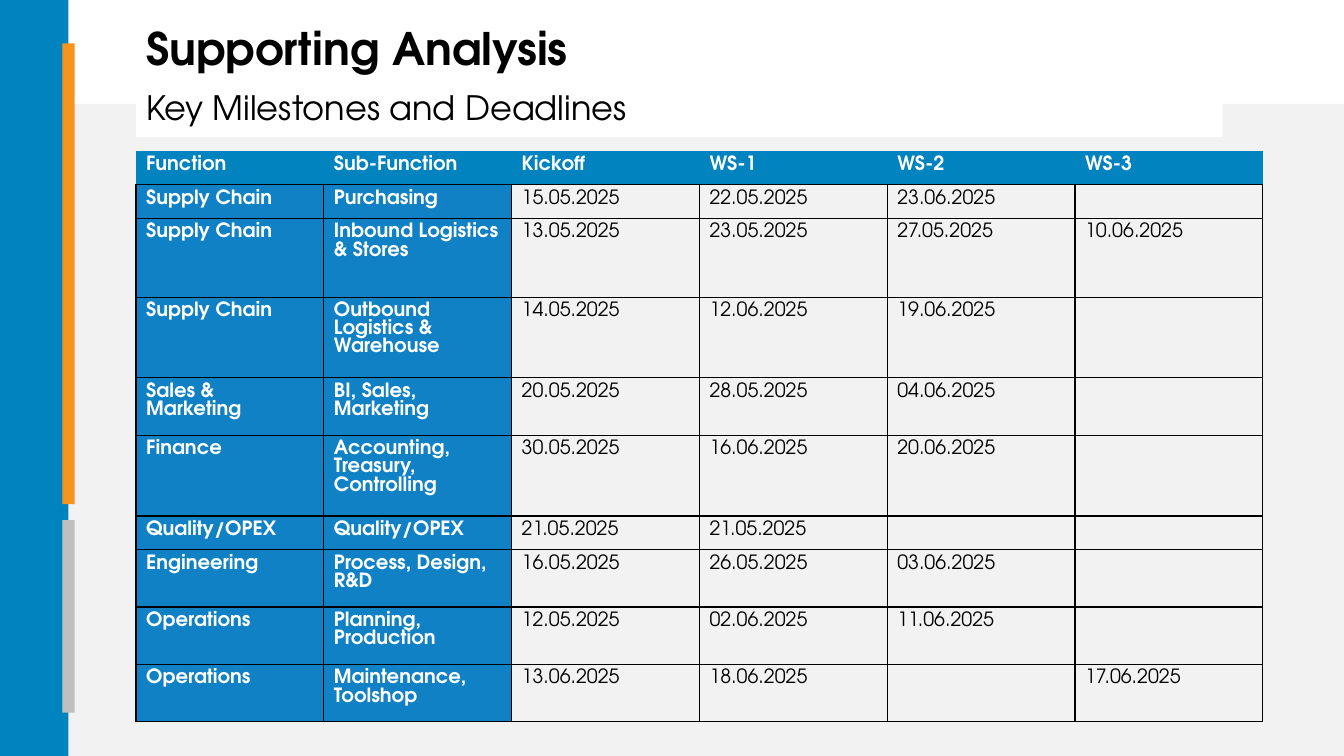
from pptx import Presentation
from pptx.dml.color import RGBColor
from pptx.enum.shapes import MSO_SHAPE
from pptx.enum.text import MSO_ANCHOR, PP_ALIGN
from pptx.oxml import parse_xml
from pptx.oxml.ns import nsdecls
from pptx.util import Pt

RECTANGLE = MSO_SHAPE.RECTANGLE
MIDDLE = MSO_ANCHOR.MIDDLE
LEFT = PP_ALIGN.LEFT

FONT = "TeX Gyre Adventor"
BLACK, WHITE, PALE, GREY = "000000", "FFFFFF", "F2F2F2", "BFBFBF"
BLUE, LABEL_BLUE, ORANGE = "0083BF", "1081C4", "F7941E"

CONTENT_LEFT = 97.2
LABEL_COLUMNS = 2
COLUMN_WIDTH = 134.16
ONE_LINE, TWO_LINES, THREE_LINES = 23.8, 41, 57.6

HEADER = ["Function", "Sub-Function", "Kickoff", "WS-1", "WS-2", "WS-3"]
MILESTONES = [
    (ONE_LINE, ["Supply Chain", "Purchasing", "15.05.2025", "22.05.2025", "23.06.2025", ""]),
    (56.2, ["Supply Chain", "Inbound Logistics & Stores",
            "13.05.2025", "23.05.2025", "27.05.2025", "10.06.2025"]),
    (THREE_LINES, ["Supply Chain", "Outbound Logistics & Warehouse",
                   "14.05.2025", "12.06.2025", "19.06.2025", ""]),
    (TWO_LINES, ["Sales & Marketing", "BI, Sales, Marketing",
                 "20.05.2025", "28.05.2025", "04.06.2025", ""]),
    (THREE_LINES, ["Finance", "Accounting, Treasury, Controlling",
                   "30.05.2025", "16.06.2025", "20.06.2025", ""]),
    (ONE_LINE, ["Quality/OPEX", "Quality/OPEX", "21.05.2025", "21.05.2025", "", ""]),
    (TWO_LINES, ["Engineering", "Process, Design, R&D",
                 "16.05.2025", "26.05.2025", "03.06.2025", ""]),
    (TWO_LINES, ["Operations", "Planning, Production",
                 "12.05.2025", "02.06.2025", "11.06.2025", ""]),
    (TWO_LINES, ["Operations", "Maintenance, Toolshop",
                 "13.06.2025", "18.06.2025", "", "17.06.2025"]),
]


def color(hex_string):
    return RGBColor.from_string(hex_string)


class SlideBuilder:
    def __init__(self, slide, font_name):
        self.slide = slide
        self.font_name = font_name

    def style(self, paragraph, size, font_color, bold=False):
        paragraph.alignment = LEFT
        font = paragraph.font
        font.name = self.font_name
        font.size = Pt(size)
        font.bold = bold
        font.color.rgb = color(font_color)

    def rectangle(self, left, top, width, height, fill):
        shape = self.slide.shapes.add_shape(RECTANGLE, Pt(left), Pt(top), Pt(width), Pt(height))
        shape.shadow.inherit = False
        shape.fill.solid()
        shape.fill.fore_color.rgb = color(fill)
        shape.line.fill.background()
        return shape

    def heading(self, shape, text, size, bold=False):
        """Write a single left-aligned line into a shape or text box."""
        frame = shape.text_frame
        frame.word_wrap = True
        frame.vertical_anchor = MIDDLE
        paragraph = frame.paragraphs[0]
        paragraph.text = text
        paragraph.line_spacing = 0.9
        self.style(paragraph, size, BLACK, bold)

    def text_box(self, left, top, width, height):
        return self.slide.shapes.add_textbox(Pt(left), Pt(top), Pt(width), Pt(height))

    def borders(self, cell, sides):
        """Set cell borders from (side, color, width) entries in the order L, R, T, B."""
        properties = cell._tc.get_or_add_tcPr()
        for position, (side, line_color, width) in enumerate(sides):
            properties.insert(position, parse_xml(
                f'<a:ln{side} {nsdecls("a")} w="{Pt(width)}"><a:solidFill>'
                f'<a:srgbClr val="{line_color}"/></a:solidFill></a:ln{side}>'))

    def cell(self, cell, text, fill, header):
        paragraph = cell.text_frame.paragraphs[0]
        paragraph.text = text
        self.style(paragraph, 14, WHITE if fill else BLACK, bold=bool(fill))
        if fill:
            cell.fill.solid()
            cell.fill.fore_color.rgb = color(fill)
        else:
            cell.fill.background()
        edge = (BLUE, 0.5) if header else (BLACK, 1)
        self.borders(cell, [("L", *edge), ("R", *edge), ("T", *edge), ("B", BLACK, 1)])

    def table(self, left, top, column_width, header, body):
        rows = [(ONE_LINE, header), *body]
        width = column_width * len(header)
        height = sum(row_height for row_height, _ in rows)
        table = self.slide.shapes.add_table(
            len(rows), len(header), Pt(left), Pt(top), Pt(width), Pt(height)).table
        table.horz_banding = False
        for column in table.columns:
            column.width = Pt(column_width)
        for row_index, (row_height, texts) in enumerate(rows):
            table.rows[row_index].height = Pt(row_height)
            for column_index, text in enumerate(texts):
                is_header = row_index == 0
                label_fill = LABEL_BLUE if column_index < LABEL_COLUMNS else None
                self.cell(table.cell(row_index, column_index), text,
                          BLUE if is_header else label_fill, is_header)


def main():
    presentation = Presentation()
    presentation.slide_width = Pt(960)
    presentation.slide_height = Pt(540)
    slide = presentation.slides.add_slide(presentation.slide_layouts[6])
    builder = SlideBuilder(slide, FONT)

    builder.rectangle(0, 74.2, 960, 465.8, PALE)
    builder.rectangle(0, 0, 48.8, 540, BLUE)
    builder.rectangle(44.5, 31, 8.8, 329.2, ORANGE)
    builder.rectangle(44.5, 371.5, 8.8, 137.5, GREY)

    title = builder.text_box(CONTENT_LEFT, 15.1, 776.2, 43.2)
    builder.heading(title, "Supporting Analysis", 32, bold=True)
    subtitle = builder.rectangle(CONTENT_LEFT, 58.3, 776.2, 39.6, WHITE)
    builder.heading(subtitle, "Key Milestones and Deadlines", 24)

    builder.table(CONTENT_LEFT, 108, COLUMN_WIDTH, HEADER, MILESTONES)
    presentation.save("out.pptx")


if __name__ == "__main__":
    main()
